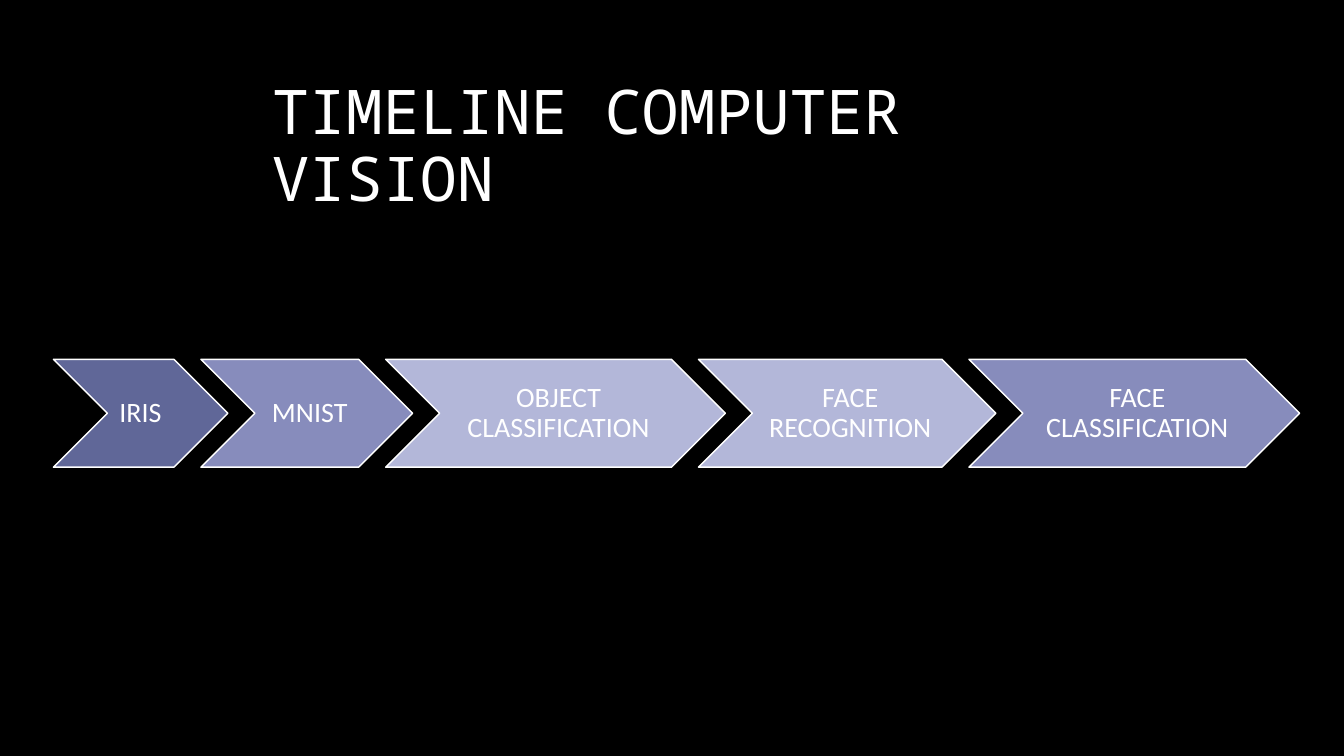
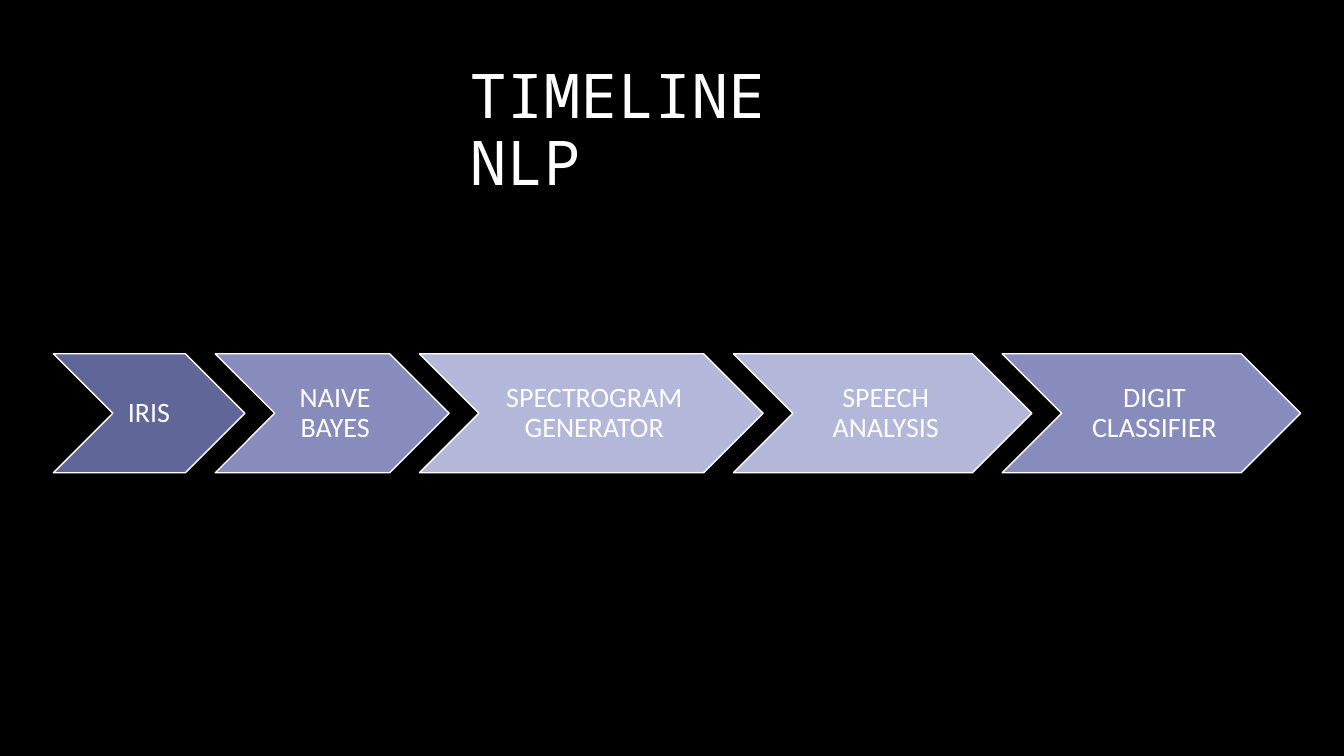
from pptx import Presentation
from pptx.dml.color import RGBColor
from pptx.enum.shapes import MSO_SHAPE as SHAPE
from pptx.enum.text import MSO_ANCHOR as ANCHOR, MSO_AUTO_SIZE as AUTO, PP_ALIGN as ALIGN
from pptx.util import Inches, Pt

COLORS = {
    "background": "000000",
    "text": "FFFFFF",
    "dark": "606798",
    "medium": "878CBC",
    "light": "B3B7D9",
}
STEP_FILLS = ["dark", "medium", "light", "light", "medium"]
TIMELINE_LEFT = 0.53
TIMELINE_MIDDLE = 4.1

TIMELINES = [
    {
        "title": "TIMELINE COMPUTER VISION",
        "title_box": (2.6, 0.76, 8.36, 0.77),
        "height": 1.07,
        "steps": [
            ("IRIS ", 1.73),
            ("MNIST", 2.1),
            ("OBJECT CLASSIFICATION", 3.37),
            ("FACE RECOGNITION", 2.95),
            ("FACE CLASSIFICATION", 3.28),
        ],
    },
    {
        "title": "TIMELINE NLP",
        "title_box": (4.56, 0.6, 4.28, 0.77),
        "height": 1.18,
        "steps": [
            ("IRIS ", 1.9),
            ("NAIVE BAYES", 2.32),
            ("SPECTROGRAM GENERATOR", 3.41),
            ("SPEECH ANALYSIS", 2.96),
            ("DIGIT CLASSIFIER", 2.96),
        ],
    },
]


class Deck:
    """Holds the shared style and the slide being built."""

    def __init__(self):
        self.prs = Presentation()
        self.prs.slide_width = Inches(13.33)
        self.prs.slide_height = Inches(7.5)
        self.s = None

    def color(self, name):
        return RGBColor.from_string(COLORS[name])

    def add_slide(self):
        self.s = self.prs.slides.add_slide(self.prs.slide_layouts[6])
        fill = self.s.background.fill
        fill.solid()
        fill.fore_color.rgb = self.color("background")

    def set_text(self, tf, text, font, size, align):
        tf.word_wrap = True
        tf.text = text
        p = tf.paragraphs[0]
        p.alignment = align
        p.line_spacing = 0.9
        r = p.runs[0]
        r.font.name = font
        r.font.size = Pt(size)
        r.font.color.rgb = self.color("text")

    def title(self, text, box):
        tf = self.s.shapes.add_textbox(*map(Inches, box)).text_frame
        self.set_text(tf, text, "Noto Sans Mono", 44, ALIGN.LEFT)
        tf.auto_size = AUTO.SHAPE_TO_FIT_TEXT

    def chevron(self, text, box, fill):
        sp = self.s.shapes.add_shape(SHAPE.CHEVRON, *map(Inches, box))
        sp.shadow.inherit = False
        sp.fill.solid()
        sp.fill.fore_color.rgb = self.color(fill)
        sp.line.color.rgb = self.color("text")
        sp.line.width = Pt(1)
        tf = sp.text_frame
        tf.margin_left = Inches(0.09)
        tf.margin_top = tf.margin_right = tf.margin_bottom = Inches(0.03)
        tf.vertical_anchor = ANCHOR.MIDDLE
        self.set_text(tf, text, "Calibri", 20, ALIGN.CENTER)

    def timeline(self, steps, height):
        left = TIMELINE_LEFT
        top = TIMELINE_MIDDLE - height / 2
        for (text, width), fill in zip(steps, STEP_FILLS):
            self.chevron(text, (left, top, width, height), fill)
            left += width - height / 4


def main():
    deck = Deck()
    for timeline in TIMELINES:
        deck.add_slide()
        deck.timeline(timeline["steps"], timeline["height"])
        deck.title(timeline["title"], timeline["title_box"])
    deck.prs.save("out.pptx")


if __name__ == "__main__":
    main()
